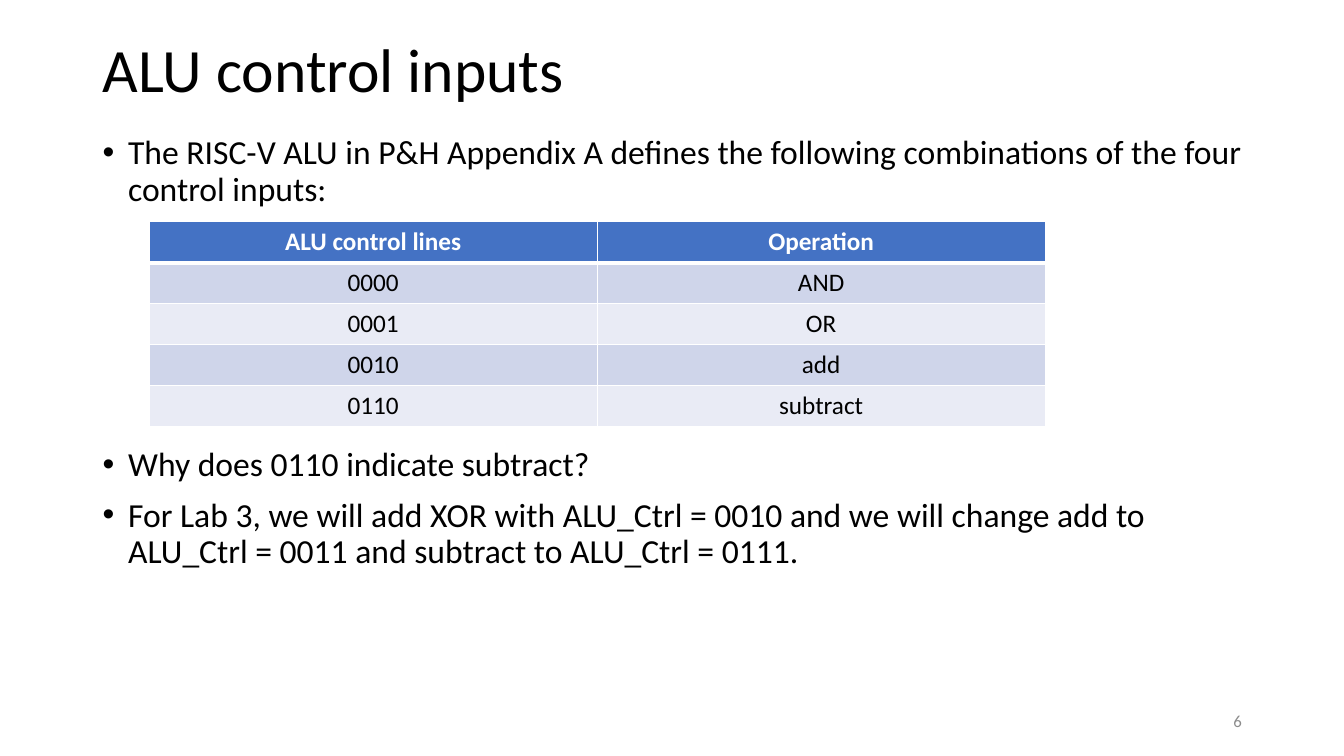
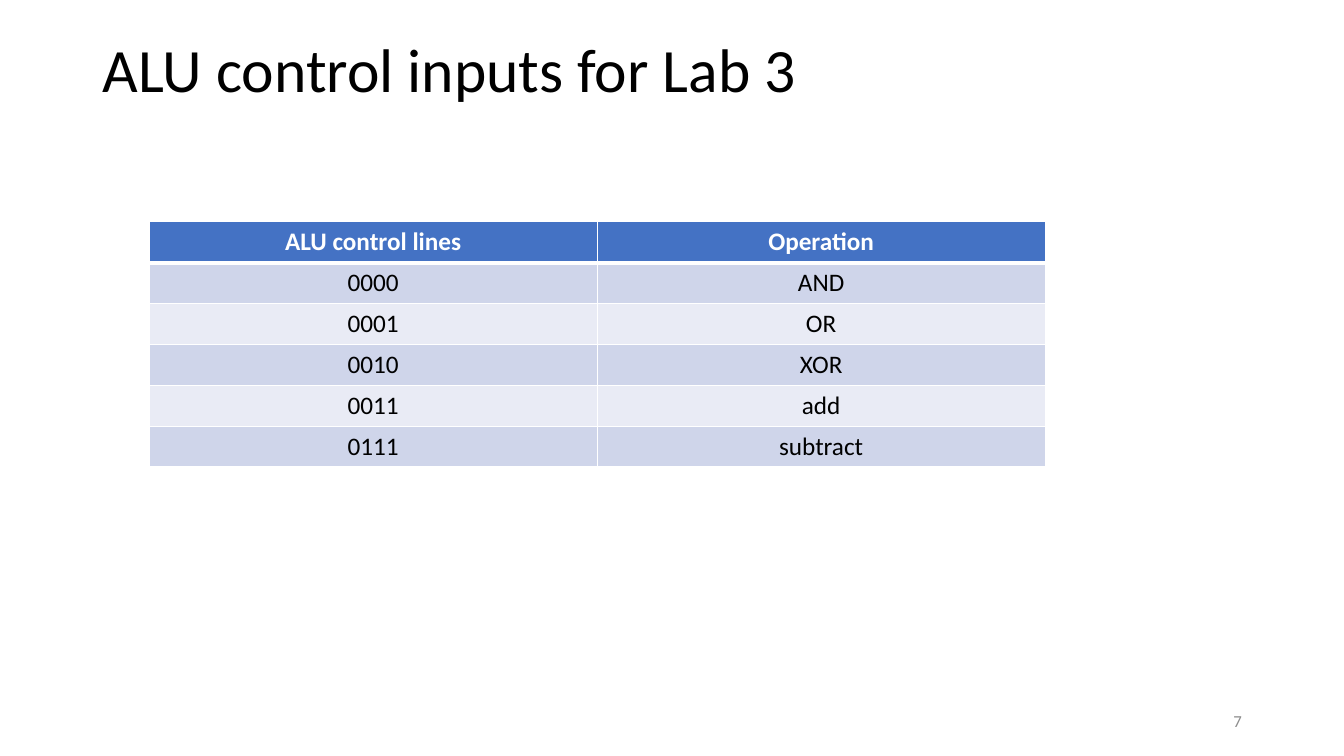
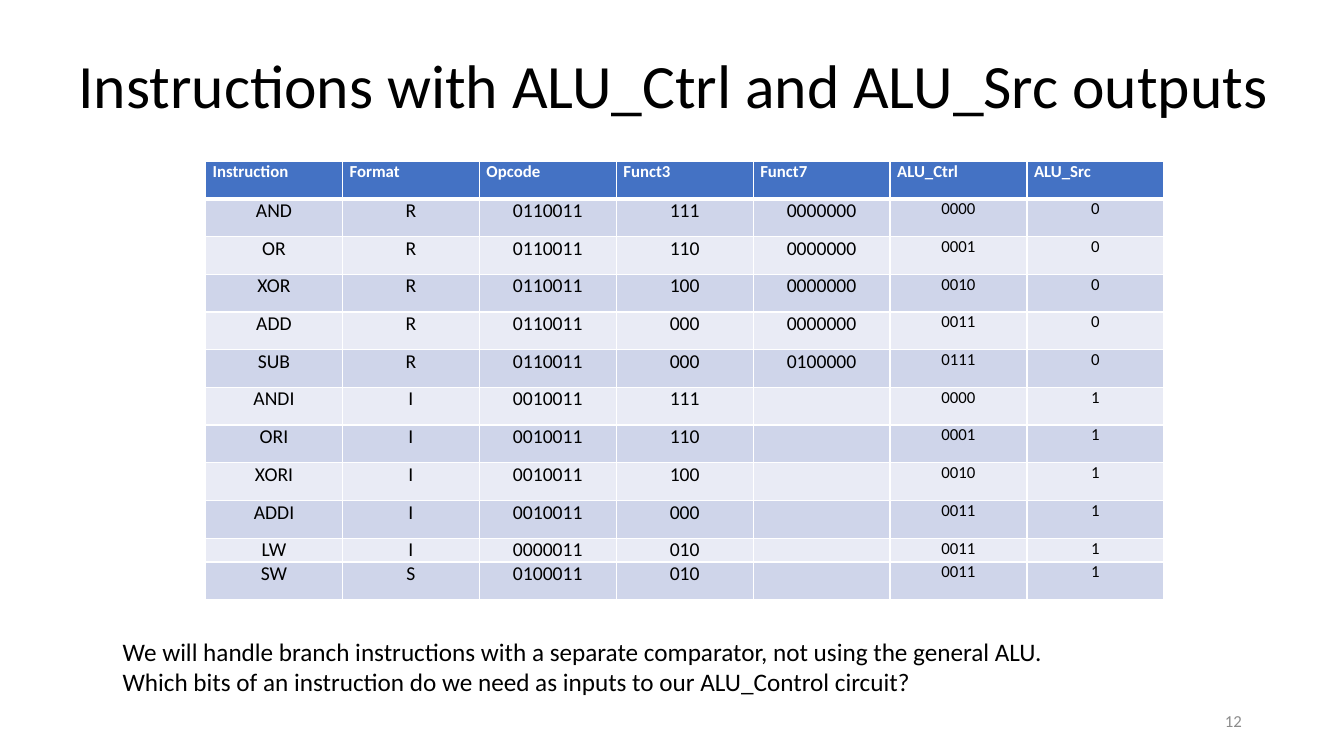
from lxml.etree import SubElement
from pptx import Presentation
from pptx.dml.color import RGBColor
from pptx.enum.text import MSO_ANCHOR, PP_ALIGN
from pptx.oxml import parse_xml
from pptx.oxml.ns import nsdecls, qn
from pptx.util import Cm, Pt

BLACK = RGBColor(0x00, 0x00, 0x00)
WHITE = RGBColor(0xFF, 0xFF, 0xFF)
GRAY = RGBColor(0x8C, 0x8C, 0x8C)
HEADER_BLUE = RGBColor(0x44, 0x72, 0xC4)
BAND_DARK = RGBColor(0xCF, 0xD5, 0xEA)
BAND_LIGHT = RGBColor(0xE9, 0xEB, 0xF5)

FONT = "Calibri"
CONTENT_LEFT = 2.34
CONTENT_WIDTH = 29.21
TITLE_HEIGHT = 3.68
BULLET_INDENT = 0.64

CONTROL_HEADER = ("ALU control lines", "Operation")
CONTROL_ROWS = [("0000", "AND"), ("0001", "OR"), ("0010", "add"), ("0110", "subtract")]
LAB_ROWS = [
    ("0000", "AND"),
    ("0001", "OR"),
    ("0010", "XOR"),
    ("0011", "add"),
    ("0111", "subtract"),
]
INSTRUCTION_HEADER = (
    "Instruction", "Format", "Opcode", "Funct3", "Funct7", "ALU_Ctrl", "ALU_Src",
)
INSTRUCTION_ROWS = [
    ("AND", "R", "0110011", "111", "0000000", "0000", "0"),
    ("OR", "R", "0110011", "110", "0000000", "0001", "0"),
    ("XOR", "R", "0110011", "100", "0000000", "0010", "0"),
    ("ADD", "R", "0110011", "000", "0000000", "0011", "0"),
    ("SUB", "R", "0110011", "000", "0100000", "0111", "0"),
    ("ANDI", "I", "0010011", "111", "", "0000", "1"),
    ("ORI", "I", "0010011", "110", "", "0001", "1"),
    ("XORI", "I", "0010011", "100", "", "0010", "1"),
    ("ADDI", "I", "0010011", "000", "", "0011", "1"),
    ("LW", "I", "0000011", "010", "", "0011", "1"),
    ("SW", "S", "0100011", "010", "", "0011", "1"),
]


def write_text(paragraph, text, size=18, color=BLACK, bold=False,
               align=PP_ALIGN.LEFT, line_spacing=None, space_before=None):
    paragraph.alignment = align
    if line_spacing is not None:
        paragraph.line_spacing = line_spacing
    if space_before is not None:
        paragraph.space_before = Pt(space_before)
    if not text:
        SubElement(paragraph._p, qn("a:endParaRPr"), sz=str(size * 100))
        return
    run = paragraph.add_run()
    run.text = text
    run.font.name = FONT
    run.font.size = Pt(size)
    run.font.bold = bold
    run.font.color.rgb = color


def add_text_box(slide, left, top, width, height, lines, anchor=MSO_ANCHOR.TOP, **text_format):
    box = slide.shapes.add_textbox(Cm(left), Cm(top), Cm(width), Cm(height))
    frame = box.text_frame
    frame.word_wrap = True
    frame.vertical_anchor = anchor
    for index, line in enumerate(lines):
        paragraph = frame.add_paragraph() if index else frame.paragraphs[0]
        write_text(paragraph, line, **text_format)
    return frame


def add_bullet(paragraph):
    properties = paragraph._p.get_or_add_pPr()
    properties.set("marL", str(Cm(BULLET_INDENT)))
    properties.set("indent", str(-Cm(BULLET_INDENT)))
    SubElement(properties, qn("a:buFont"), typeface="Arial")
    SubElement(properties, qn("a:buChar"), char="•")


def set_borders(cell, top=1, bottom=1):
    properties = cell._tc.get_or_add_tcPr()
    widths = {"lnL": 1, "lnR": 1, "lnT": top, "lnB": bottom}
    for position, (tag, width) in enumerate(widths.items()):
        border = parse_xml(
            f'<a:{tag} {nsdecls("a")} w="{Pt(width)}"><a:solidFill>'
            f'<a:srgbClr val="{WHITE}"/></a:solidFill></a:{tag}>'
        )
        properties.insert(position, border)


def add_banded_table(slide, left, top, column_width, row_heights, header, rows,
                     column_sizes, header_size, header_align=PP_ALIGN.CENTER, margins=None):
    frame = slide.shapes.add_table(
        len(rows) + 1, len(header), Cm(left), Cm(top),
        Cm(column_width * len(header)), Cm(sum(row_heights)),
    )
    table = frame.table
    for column in table.columns:
        column.width = Cm(column_width)
    for row_index, values in enumerate([header, *rows]):
        table.rows[row_index].height = Cm(row_heights[row_index])
        is_header = row_index == 0
        band = BAND_DARK if row_index % 2 else BAND_LIGHT
        for column_index, value in enumerate(values):
            cell = table.cell(row_index, column_index)
            if margins is not None:
                cell.margin_left = cell.margin_right = Cm(margins[0])
                cell.margin_top = cell.margin_bottom = Cm(margins[1])
            cell.fill.solid()
            cell.fill.fore_color.rgb = HEADER_BLUE if is_header else band
            set_borders(cell, top=3 if row_index == 1 else 1, bottom=3 if is_header else 1)
            write_text(
                cell.text_frame.paragraphs[0], value,
                size=header_size if is_header else column_sizes[column_index],
                color=WHITE if is_header else BLACK,
                bold=is_header,
                align=header_align if is_header else PP_ALIGN.CENTER,
            )


def add_control_table(slide, rows):
    add_banded_table(
        slide, 3.76, 5.59, 11.29, [1.03] * (len(rows) + 1), CONTROL_HEADER, rows,
        column_sizes=[18, 18], header_size=18,
    )


def add_titled_slide(presentation, title, number, left=CONTENT_LEFT, top=0, width=CONTENT_WIDTH):
    slide = presentation.slides.add_slide(presentation.slide_layouts[6])
    add_text_box(slide, left, top, width, TITLE_HEIGHT, [title],
                 anchor=MSO_ANCHOR.MIDDLE, size=44, line_spacing=0.9)
    add_text_box(slide, 23.93, 17.65, 7.62, 1.02, [str(number)],
                 anchor=MSO_ANCHOR.MIDDLE, size=12, color=GRAY, align=PP_ALIGN.RIGHT)
    return slide


def build_control_inputs(presentation):
    slide = add_titled_slide(presentation, "ALU control inputs", 6)
    frame = add_text_box(
        slide, CONTENT_LEFT, 3.3, CONTENT_WIDTH, 12.09,
        [
            "The RISC-V ALU in P&H Appendix A defines the following combinations "
            "of the four control inputs:",
            "Why does 0110 indicate subtract?",
            "For Lab 3, we will add XOR with ALU_Ctrl = 0010 and we will change add to "
            "ALU_Ctrl = 0011 and subtract to ALU_Ctrl = 0111.",
        ],
        size=24, line_spacing=0.9, space_before=10,
    )
    for paragraph in frame.paragraphs:
        add_bullet(paragraph)
    frame.paragraphs[1].space_before = Pt(171)
    add_control_table(slide, CONTROL_ROWS)


def build_lab_inputs(presentation):
    slide = add_titled_slide(presentation, "ALU control inputs for Lab 3", 7)
    add_control_table(slide, LAB_ROWS)


def build_instructions(presentation):
    slide = add_titled_slide(
        presentation, "Instructions with ALU_Ctrl and ALU_Src outputs", 12,
        left=1.73, top=0.38, width=31.39,
    )
    row_heights = [0.95] * 10 + [0.6, 0.95]
    add_banded_table(
        slide, 5.18, 4.06, 3.45, row_heights, INSTRUCTION_HEADER, INSTRUCTION_ROWS,
        column_sizes=[14] * 5 + [12] * 2, header_size=12,
        header_align=PP_ALIGN.LEFT, margins=(0.18, 0),
    )
    add_text_box(
        slide, 2.84, 15.9, 24, 1.8,
        [
            "We will handle branch instructions with a separate comparator, "
            "not using the general ALU.",
            "Which bits of an instruction do we need as inputs to our ALU_Control circuit?",
        ],
    )


def main():
    presentation = Presentation()
    presentation.slide_width = Cm(33.87)
    presentation.slide_height = Cm(19.05)
    build_control_inputs(presentation)
    build_lab_inputs(presentation)
    build_instructions(presentation)
    presentation.save("out.pptx")


if __name__ == "__main__":
    main()
